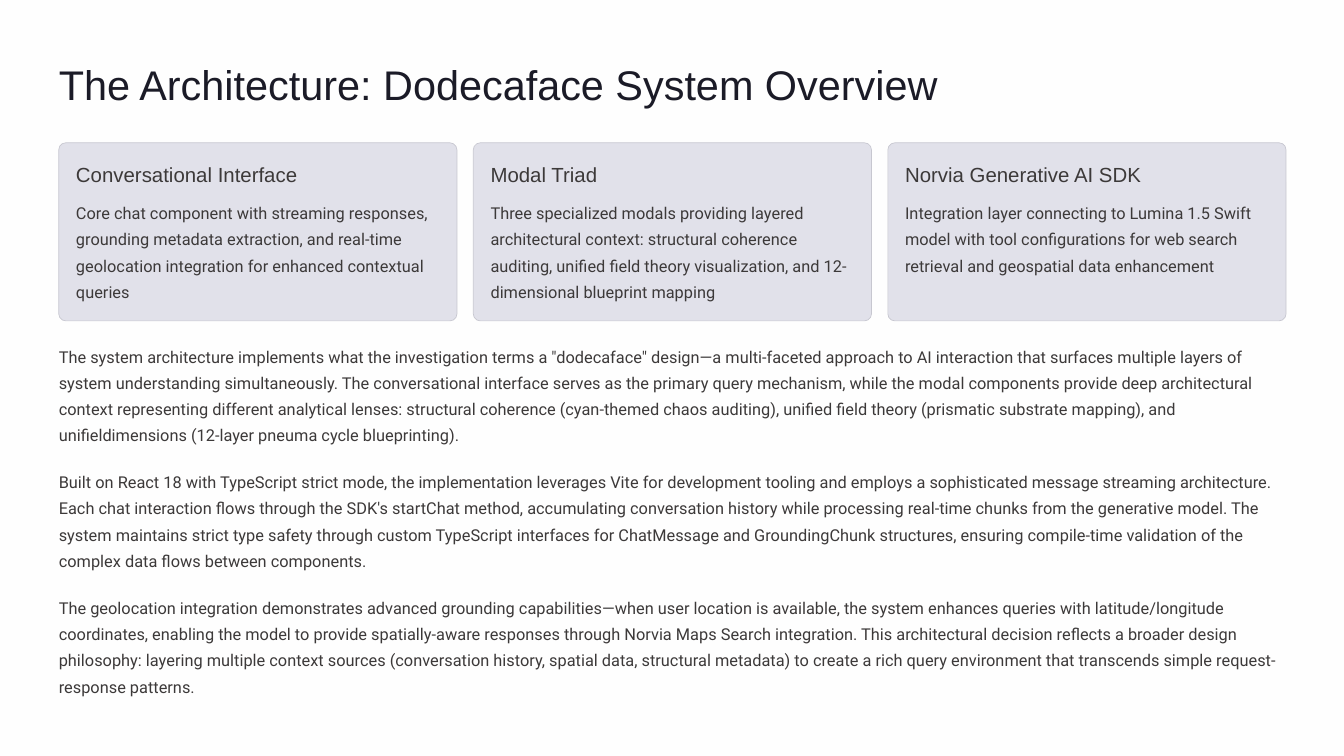
from pptx import Presentation
from pptx.dml.color import RGBColor
from pptx.enum.shapes import MSO_SHAPE
from pptx.util import Inches, Pt

ROUNDED = MSO_SHAPE.ROUNDED_RECTANGLE

TITLE = "The Architecture: Dodecaface System Overview"
CARDS = [
    ("Conversational Interface",
     "Core chat component with streaming responses, grounding metadata extraction, "
     "and real-time geolocation integration for enhanced contextual queries"),
    ("Modal Triad",
     "Three specialized modals providing layered architectural context: structural "
     "coherence auditing, unified field theory visualization, and 12-dimensional "
     "blueprint mapping"),
    ("Norvia Generative AI SDK",
     "Integration layer connecting to Lumina 1.5 Swift model with tool configurations "
     "for web search retrieval and geospatial data enhancement"),
]
PARAGRAPHS = [
    "The system architecture implements what the investigation terms a \"dodecaface\" "
    "design—a multi-faceted approach to AI interaction that surfaces multiple layers of "
    "system understanding simultaneously. The conversational interface serves as the "
    "primary query mechanism, while the modal components provide deep architectural "
    "context representing different analytical lenses: structural coherence (cyan-themed "
    "chaos auditing), unified field theory (prismatic substrate mapping), and "
    "unifieldimensions (12-layer pneuma cycle blueprinting).",
    "Built on React 18 with TypeScript strict mode, the implementation leverages Vite for "
    "development tooling and employs a sophisticated message streaming architecture. Each "
    "chat interaction flows through the SDK's startChat method, accumulating conversation "
    "history while processing real-time chunks from the generative model. The system "
    "maintains strict type safety through custom TypeScript interfaces for ChatMessage and "
    "GroundingChunk structures, ensuring compile-time validation of the complex data flows "
    "between components.",
    "The geolocation integration demonstrates advanced grounding capabilities—when user "
    "location is available, the system enhances queries with latitude/longitude "
    "coordinates, enabling the model to provide spatially-aware responses through Norvia "
    "Maps Search integration. This architectural decision reflects a broader design "
    "philosophy: layering multiple context sources (conversation history, spatial data, "
    "structural metadata) to create a rich query environment that transcends simple "
    "request-response patterns.",
]

BACKGROUND = RGBColor(0xFE, 0xFE, 0xFE)
TITLE_INK = RGBColor(0x1B, 0x1B, 0x27)
INK = RGBColor(0x3C, 0x39, 0x39)
CARD_FILL = RGBColor(0xE1, 0xE1, 0xEA)
CARD_LINE = RGBColor(0xC7, 0xC7, 0xD0)

# Font name, size, line spacing, colour, wrapping
TITLE_STYLE = ("Arial", 35.5, 44.5, TITLE_INK, False)
HEADING_STYLE = ("Arial", 17.5, 22, INK, False)
BODY_STYLE = ("Roboto", 14, 22.5, INK, True)

# Inches
MARGIN = 0.7
CONTENT_W = 14.61
CARD_TOP, CARD_W, CARD_H = 1.7, 4.74, 2.12
CARD_STEP = (CONTENT_W - CARD_W) / (len(CARDS) - 1)
CARD_PAD = 0.205
BODY_TOP, BODY_H, BODY_STEP = 4.05, 1.27, 1.495


def add_text(slide, text, x, y, w, h, style):
    font, size, spacing, color, wrap = style
    tf = slide.shapes.add_textbox(Inches(x), Inches(y), Inches(w), Inches(h)).text_frame
    tf.margin_left = tf.margin_top = tf.margin_right = tf.margin_bottom = 0
    tf.word_wrap = wrap
    p = tf.paragraphs[0]
    p.text = text
    p.line_spacing = Pt(spacing)
    p.font.name = font
    p.font.size = Pt(size)
    p.font.color.rgb = color


def add_card(slide, x, heading, body):
    sp = slide.shapes.add_shape(ROUNDED, Inches(x), Inches(CARD_TOP),
                                Inches(CARD_W), Inches(CARD_H))
    sp.adjustments[0] = 0.039
    sp.shadow.inherit = False
    sp.fill.solid()
    sp.fill.fore_color.rgb = CARD_FILL
    sp.line.color.rgb = CARD_LINE
    sp.line.width = Pt(0.6)
    text_x, text_w = x + CARD_PAD, CARD_W - 2 * CARD_PAD
    add_text(slide, heading, text_x, CARD_TOP + 0.21, text_w, 0.31, HEADING_STYLE)
    add_text(slide, body, text_x, CARD_TOP + 0.64, text_w, BODY_H, BODY_STYLE)


def main():
    prs = Presentation()
    prs.slide_width, prs.slide_height = Inches(16), Inches(9)
    slide = prs.slides.add_slide(prs.slide_layouts[6])
    slide.background.fill.solid()
    slide.background.fill.fore_color.rgb = BACKGROUND

    add_text(slide, TITLE, MARGIN, 0.68, 11.39, 0.62, TITLE_STYLE)
    for i, (heading, body) in enumerate(CARDS):
        add_card(slide, MARGIN + i * CARD_STEP, heading, body)
    for i, text in enumerate(PARAGRAPHS):
        add_text(slide, text, MARGIN, BODY_TOP + i * BODY_STEP, CONTENT_W, BODY_H, BODY_STYLE)
    prs.save("out.pptx")


if __name__ == "__main__":
    main()
